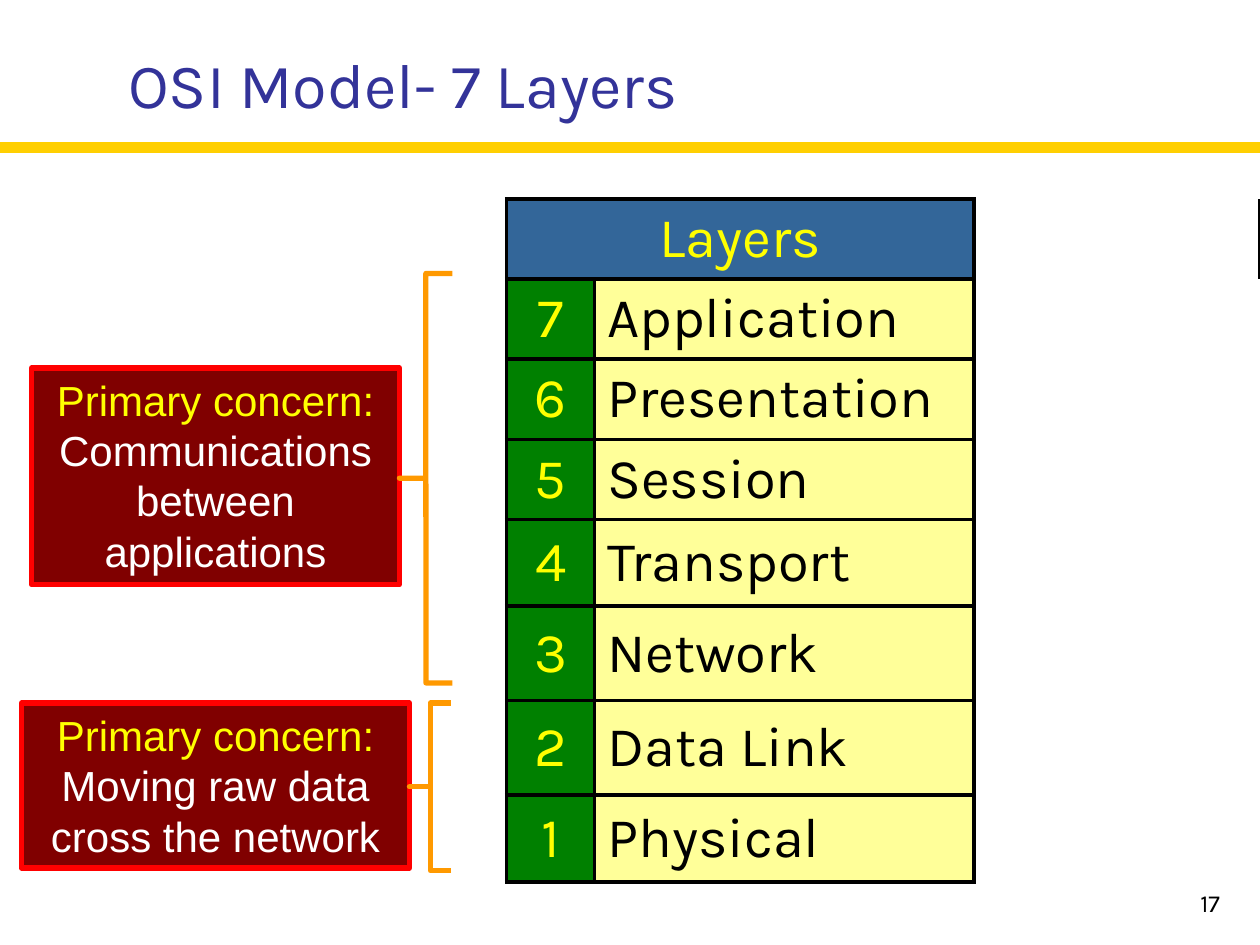
import pptx
import pptx.dml.color
import pptx.enum.shapes
import pptx.enum.text
import pptx.oxml
import pptx.oxml.ns
import pptx.util

Inches = pptx.util.Inches
Align = pptx.enum.text.PP_ALIGN
Anchor = pptx.enum.text.MSO_ANCHOR
Shape = pptx.enum.shapes.MSO_SHAPE

COLORS = {
    "black": "000000", "white": "FFFFFF", "title": "333399", "rule": "FFCF01",
    "yellow": "FFFF00", "header": "336699", "number": "008000", "name": "FFFF99",
    "note": "800000", "note_line": "FF0000", "brace": "FF9900",
}
LAYERS = ["Application", "Presentation", "Session", "Transport",
          "Network", "Data Link", "Physical"]
COLUMN_WIDTHS = [0.7, 3.01, 2.27]
ROW_HEIGHTS = [0.63, 0.63, 0.64, 0.63, 0.69, 0.75, 0.75, 0.69]


def rgb(name):
    return pptx.dml.color.RGBColor.from_string(COLORS[name])


def add_run(paragraph, text, size=32, font="Karla", color="black", align=Align.LEFT):
    paragraph.alignment = align
    run = paragraph.add_run()
    run.text = text
    run.font.name = font
    run.font.size = pptx.util.Pt(size)
    run.font.color.rgb = rgb(color)


class SlideBuilder:
    border_width = 2.25
    outline_width = 3

    def __init__(self, slide):
        self.slide = slide

    def outline(self, shape, color, width):
        shape.line.color.rgb = rgb(color)
        shape.line.width = pptx.util.Pt(width)

    def rule(self, left, top, right, color, width):
        connector = self.slide.shapes.add_connector(
            pptx.enum.shapes.MSO_CONNECTOR.STRAIGHT,
            Inches(left), Inches(top), Inches(right), Inches(top))
        self.outline(connector, color, width)
        properties = connector._element.spPr
        properties.append(pptx.oxml.parse_xml(
            f'<a:effectLst {pptx.oxml.ns.nsdecls("a")}/>'))

    def text(self, text, box, anchor, **style):
        shape = self.slide.shapes.add_textbox(*map(Inches, box))
        shape.text_frame.word_wrap = True
        shape.text_frame.vertical_anchor = anchor
        add_run(shape.text_frame.paragraphs[0], text, **style)

    def shape(self, kind, box, line):
        shape = self.slide.shapes.add_shape(kind, *map(Inches, box))
        shape.shadow.inherit = False
        shape.fill.background()
        self.outline(shape, line, self.outline_width)
        return shape

    def note(self, concern, box):
        shape = self.shape(Shape.RECTANGLE, box, "note_line")
        shape.fill.solid()
        shape.fill.fore_color.rgb = rgb("note")
        shape.text_frame.word_wrap = True
        shape.text_frame.vertical_anchor = Anchor.TOP
        paragraph = shape.text_frame.paragraphs[0]
        for text, color in (("Primary concern: ", "yellow"), (concern, "white")):
            add_run(paragraph, text, size=24, font="Arial", color=color,
                    align=Align.CENTER)

    def brace(self, box, curve):
        shape = self.shape(Shape.LEFT_BRACE, box, "brace")
        shape.adjustments[0] = curve
        shape.adjustments[1] = 0.5

    def borders(self, cell, visible):
        properties = cell._tc.get_or_add_tcPr()
        width = pptx.util.Pt(self.border_width)
        for side in "LRTB":
            paint = "<a:noFill/>"
            if side in visible:
                paint = f'<a:solidFill><a:srgbClr val="{COLORS["black"]}"/></a:solidFill>'
            properties.append(pptx.oxml.parse_xml(
                f'<a:ln{side} {pptx.oxml.ns.nsdecls("a")} w="{width}">{paint}</a:ln{side}>'))

    def cell(self, cell, text, fill, **style):
        cell.fill.solid()
        cell.fill.fore_color.rgb = rgb(fill)
        cell.vertical_anchor = Anchor.MIDDLE
        add_run(cell.text_frame.paragraphs[0], text, **style)

    def layer_table(self, left, top):
        table = self.slide.shapes.add_table(
            len(ROW_HEIGHTS), len(COLUMN_WIDTHS), Inches(left), Inches(top),
            Inches(sum(COLUMN_WIDTHS)), Inches(sum(ROW_HEIGHTS))).table
        for column, width in zip(table.columns, COLUMN_WIDTHS):
            column.width = Inches(width)
        for index, height in enumerate(ROW_HEIGHTS):
            table.rows[index].height = Inches(height)
            self.borders(table.cell(index, 0), "LRTB")
            self.borders(table.cell(index, 1), "LRTB")
            side = table.cell(index, 2)
            self.borders(side, "L" if index else "LR")
            side.fill.background()
        table.cell(0, 0).merge(table.cell(0, 1))
        accent = {"color": "yellow", "align": Align.CENTER}
        self.cell(table.cell(0, 0), "Layers", "header", **accent)
        for row, name in enumerate(LAYERS, start=1):
            number = str(len(LAYERS) + 1 - row)
            self.cell(table.cell(row, 0), number, "number", **accent)
            self.cell(table.cell(row, 1), name, "name")


def main():
    presentation = pptx.Presentation()
    presentation.slide_width = Inches(10)
    presentation.slide_height = Inches(7.5)
    builder = SlideBuilder(presentation.slides.add_slide(presentation.slide_layouts[6]))
    builder.rule(0, 1.17, 10, "rule", 6)
    builder.text("17", (7.7, 6.83, 2.08, 0.5), Anchor.BOTTOM, size=14, align=Align.RIGHT)
    builder.text("OSI Model- 7 Layers", (0.92, 0.25, 8.52, 0.83), Anchor.MIDDLE,
                 size=36, color="title")
    builder.layer_table(4.02, 1.58)
    builder.note("Communications between applications", (0.25, 2.92, 2.92, 1.72))
    builder.note("Moving raw data cross the network", (0.17, 5.58, 3.08, 1.31))
    builder.brace((3.17, 2.17, 0.42, 3.25), 0)
    builder.brace((3.25, 5.58, 0.33, 1.33), 0)
    presentation.save("out.pptx")


if __name__ == "__main__":
    main()
